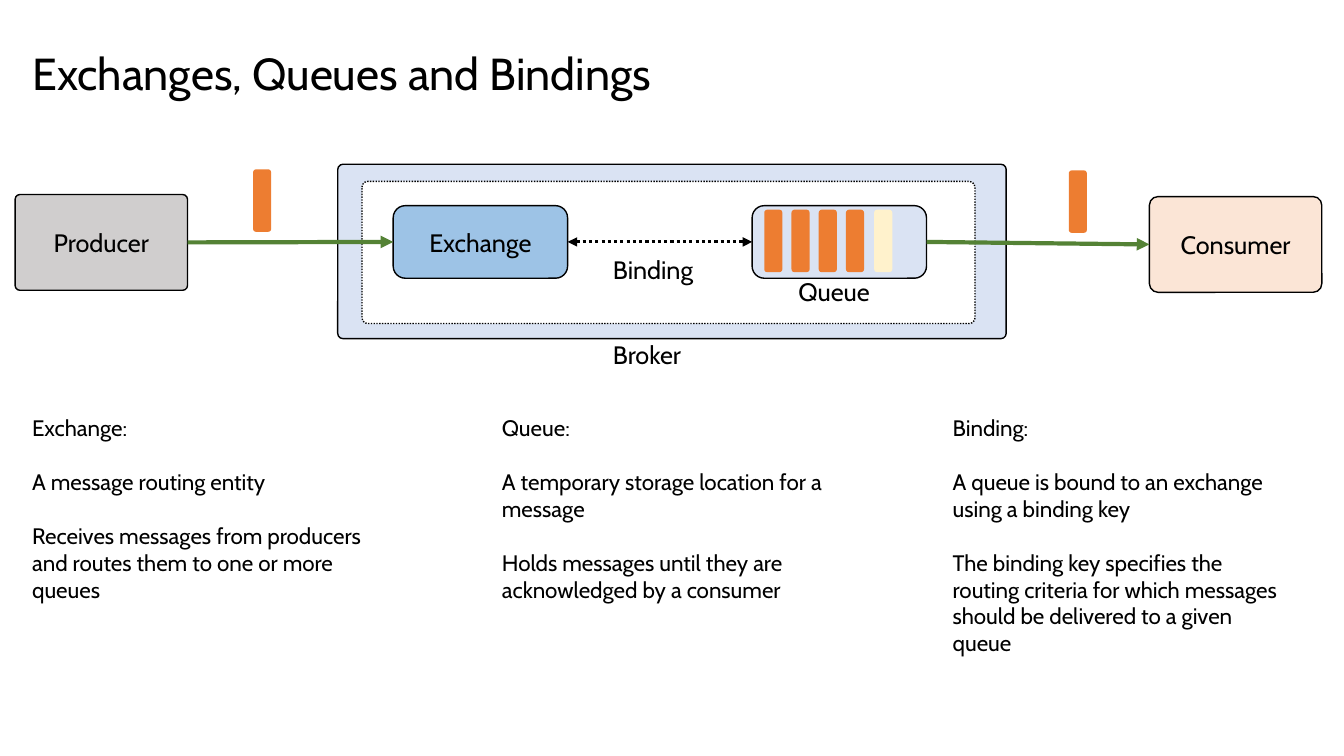
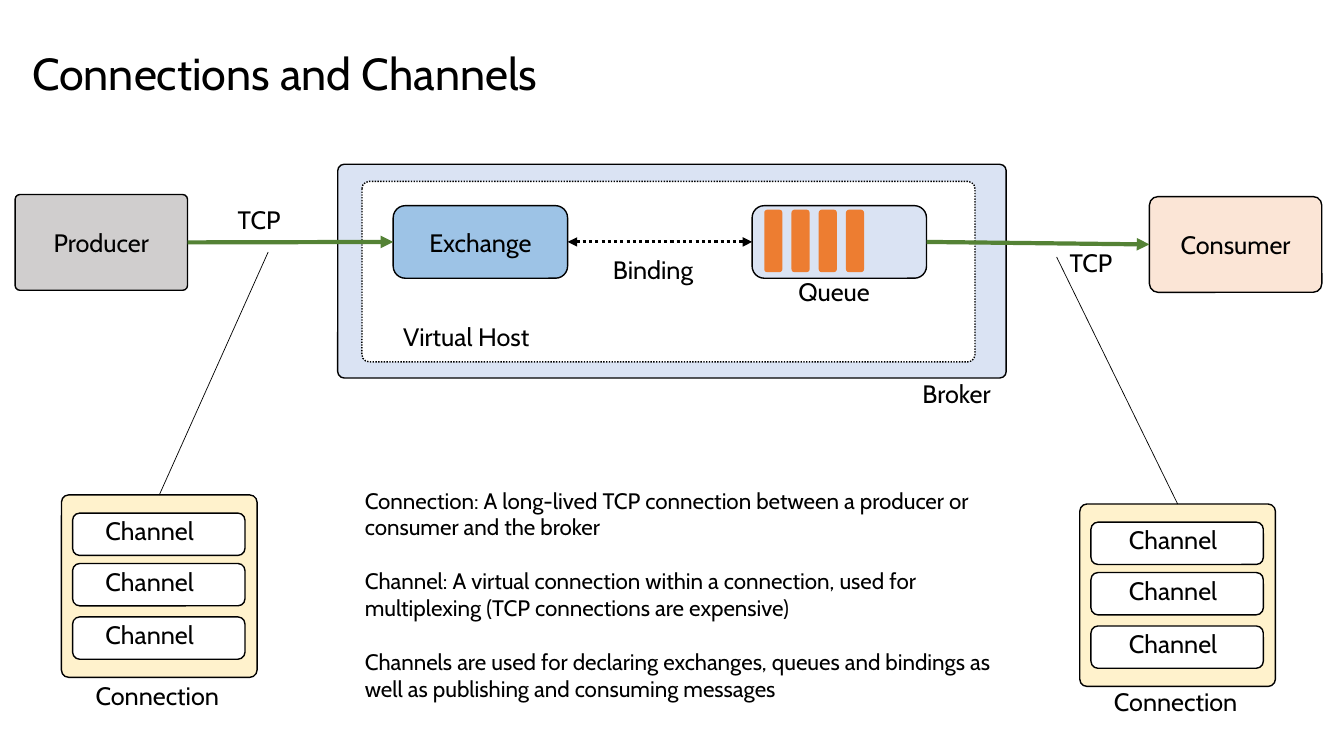
"""Build two slides on message broker exchanges, queues, bindings, connections and channels."""
import lxml.etree
import pptx
import pptx.dml.color
import pptx.enum.dml
import pptx.enum.shapes
import pptx.enum.text
import pptx.oxml.ns
import pptx.util

Inches = pptx.util.Inches
FONT = "Cabin"
COLORS = {
    "black": "000000",
    "white": "FFFFFF",
    "producer": "D0CECE",
    "broker": "DAE3F3",
    "consumer": "FBE5D6",
    "exchange": "9DC3E6",
    "message": "ED7D31",
    "pale": "FFF2CC",
    "flow": "548235",
}
RGB = {name: pptx.dml.color.RGBColor.from_string(value) for name, value in COLORS.items()}
DOTTED = pptx.enum.dml.MSO_LINE.ROUND_DOT
BAR_SIZE = (0.18, 0.62)


def add_box(slide, position, fill, text="", corner=0.167, outlined=True):
    """Add a rounded rectangle with optional centred text."""
    shape = slide.shapes.add_shape(
        pptx.enum.shapes.MSO_SHAPE.ROUNDED_RECTANGLE, *map(Inches, position))
    shape.shadow.inherit = False
    shape.adjustments[0] = corner
    shape.fill.solid()
    shape.fill.fore_color.rgb = RGB[fill]
    if outlined:
        shape.line.color.rgb = RGB["black"]
        shape.line.width = pptx.util.Pt(1)
    else:
        shape.line.fill.background()
    if text:
        shape.text_frame.text = text
        paragraph = shape.text_frame.paragraphs[0]
        paragraph.alignment = pptx.enum.text.PP_ALIGN.CENTER
        paragraph.font.name = FONT
        paragraph.font.size = pptx.util.Pt(18)
        paragraph.font.color.rgb = RGB["black"]
    return shape


def add_text(slide, position, lines, size=18, wrap=False):
    """Add a text box with one paragraph per line, a blank line's height apart."""
    frame = slide.shapes.add_textbox(*map(Inches, position)).text_frame
    frame.word_wrap = wrap
    frame.text = "\n".join(lines)
    for index, paragraph in enumerate(frame.paragraphs):
        if index:
            paragraph.space_before = pptx.util.Pt(19.3)
        paragraph.font.name = FONT
        paragraph.font.size = pptx.util.Pt(size)
        paragraph.font.color.rgb = RGB["black"]


presentation = pptx.Presentation()
presentation.slide_width = Inches(13.33)
presentation.slide_height = Inches(7.5)

slides = []
for title_text, broker_height, host_height, broker_label in [
    ("Exchanges, Queues and Bindings", 1.73, 1.41, (5.98, 3.32, 1.02, 0.4)),
    ("Connections and Channels", 2.12, 1.79, (9.05, 3.7, 0.98, 0.4)),
]:
    slide = presentation.slides.add_slide(presentation.slide_layouts[5])
    slides.append(slide)
    title = slide.shapes.title
    title.left, title.top, title.width, title.height = map(Inches, (0.22, 0.4, 6.71, 0.64))
    title.text_frame.text = title_text
    title.text_frame.word_wrap = False
    title.text_frame.vertical_anchor = pptx.enum.text.MSO_ANCHOR.TOP
    paragraph = title.text_frame.paragraphs[0]
    paragraph.alignment = pptx.enum.text.PP_ALIGN.LEFT
    paragraph.font.name = FONT
    paragraph.font.size = pptx.util.Pt(32)
    paragraph.font.color.rgb = RGB["black"]

    producer = add_box(slide, (0.15, 1.93, 1.71, 0.95), "producer", "Producer", 0.05)
    add_box(slide, (3.35, 1.63, 6.63, broker_height), "broker", corner=0.03)
    consumer = add_box(slide, (11.4, 1.95, 1.71, 0.95), "consumer", "Consumer", 0.09)
    host = add_box(slide, (3.59, 1.8, 6.08, host_height), "white", corner=0.04)
    host.line.dash_style = DOTTED
    queue = add_box(slide, (7.46, 2.04, 1.73, 0.72), "broker")
    for index in range(4):
        add_box(slide, (7.58 + 0.27 * index, 2.08, *BAR_SIZE), "message", outlined=False)
    exchange = add_box(slide, (3.9, 2.04, 1.73, 0.72), "exchange", "Exchange")

    add_text(slide, (7.82, 2.69, 0.94, 0.4), ["Queue"])
    add_text(slide, (5.98, 2.47, 1.08, 0.4), ["Binding"])
    add_text(slide, broker_label, ["Broker"])

    for source, target, color, width, arrow_tags in [
        (exchange, queue, "black", 2.25, ("a:headEnd", "a:tailEnd")),
        (producer, exchange, "flow", 3, ("a:tailEnd",)),
        (queue, consumer, "flow", 3, ("a:tailEnd",)),
    ]:
        connector = slide.shapes.add_connector(
            pptx.enum.shapes.MSO_CONNECTOR.STRAIGHT, 0, 0, 0, 0)
        connector.begin_connect(source, 3)
        connector.end_connect(target, 1)
        connector.line.color.rgb = RGB[color]
        connector.line.width = pptx.util.Pt(width)
        if source is exchange:
            connector.line.dash_style = DOTTED
        line = connector.line._get_or_add_ln()
        for tag in arrow_tags:
            lxml.etree.SubElement(line, pptx.oxml.ns.qn(tag), type="triangle")
        lxml.etree.SubElement(connector._element.spPr, pptx.oxml.ns.qn("a:effectLst"))

binding_slide, channel_slide = slides

for left, top, fill in [(8.67, 2.08, "pale"), (2.51, 1.68, "message"), (10.6, 1.69, "message")]:
    add_box(binding_slide, (left, top, *BAR_SIZE), fill, outlined=False)

for left, height, lines in [
    (0.22, 1.99, [
        "Exchange:",
        "A message routing entity",
        "Receives messages from producers and routes them to one or more queues",
    ]),
    (4.88, 1.99, [
        "Queue:",
        "A temporary storage location for a message",
        "Holds messages until they are acknowledged by a consumer",
    ]),
    (9.35, 2.52, [
        "Binding:",
        "A queue is bound to an exchange using a binding key",
        "The binding key specifies the routing criteria for which messages "
        "should be delivered to a given queue",
    ]),
]:
    add_text(binding_slide, (left, 4.06, 3.58, height), lines, 16, wrap=True)

for left, top, label_top, line_start, text_inset in [
    (0.61, 4.91, 6.7, (2.66, 2.5), 0.28),
    (10.71, 5, 6.76, (10.48, 2.55), 0.18),
]:
    connection = add_box(channel_slide, (left, top, 1.94, 1.81), "pale", corner=0.04)
    for offset in (0.18, 0.68, 1.21):
        channel = add_box(
            channel_slide, (left + 0.11, top + offset, 1.71, 0.42), "white", "Channel")
        channel.text_frame.margin_right = Inches(text_inset)
        channel.text_frame.margin_bottom = Inches(0.12)
    connector = channel_slide.shapes.add_connector(
        pptx.enum.shapes.MSO_CONNECTOR.STRAIGHT, *map(Inches, line_start), 0, 0)
    connector.end_connect(connection, 0)
    connector.line.color.rgb = RGB["black"]
    connector.line.width = pptx.util.Pt(0.5)
    lxml.etree.SubElement(connector._element.spPr, pptx.oxml.ns.qn("a:effectLst"))
    add_text(channel_slide, (left + 0.24, label_top, 1.45, 0.4), ["Connection"])

add_text(channel_slide, (3.9, 3.14, 1.56, 0.4), ["Virtual Host"])
for left, top in [(2.26, 1.98), (10.51, 2.4)]:
    add_text(channel_slide, (left, top, 0.66, 0.4), ["TCP"])
add_text(channel_slide, (3.52, 4.78, 6.77, 2.26), [
    "Connection: A long-lived TCP connection between a producer or consumer and the broker",
    "Channel: A virtual connection within a connection, used for multiplexing "
    "(TCP connections are expensive)",
    "Channels are used for declaring exchanges, queues and bindings as well as "
    "publishing and consuming messages",
], 16, wrap=True)

presentation.save("out.pptx")
